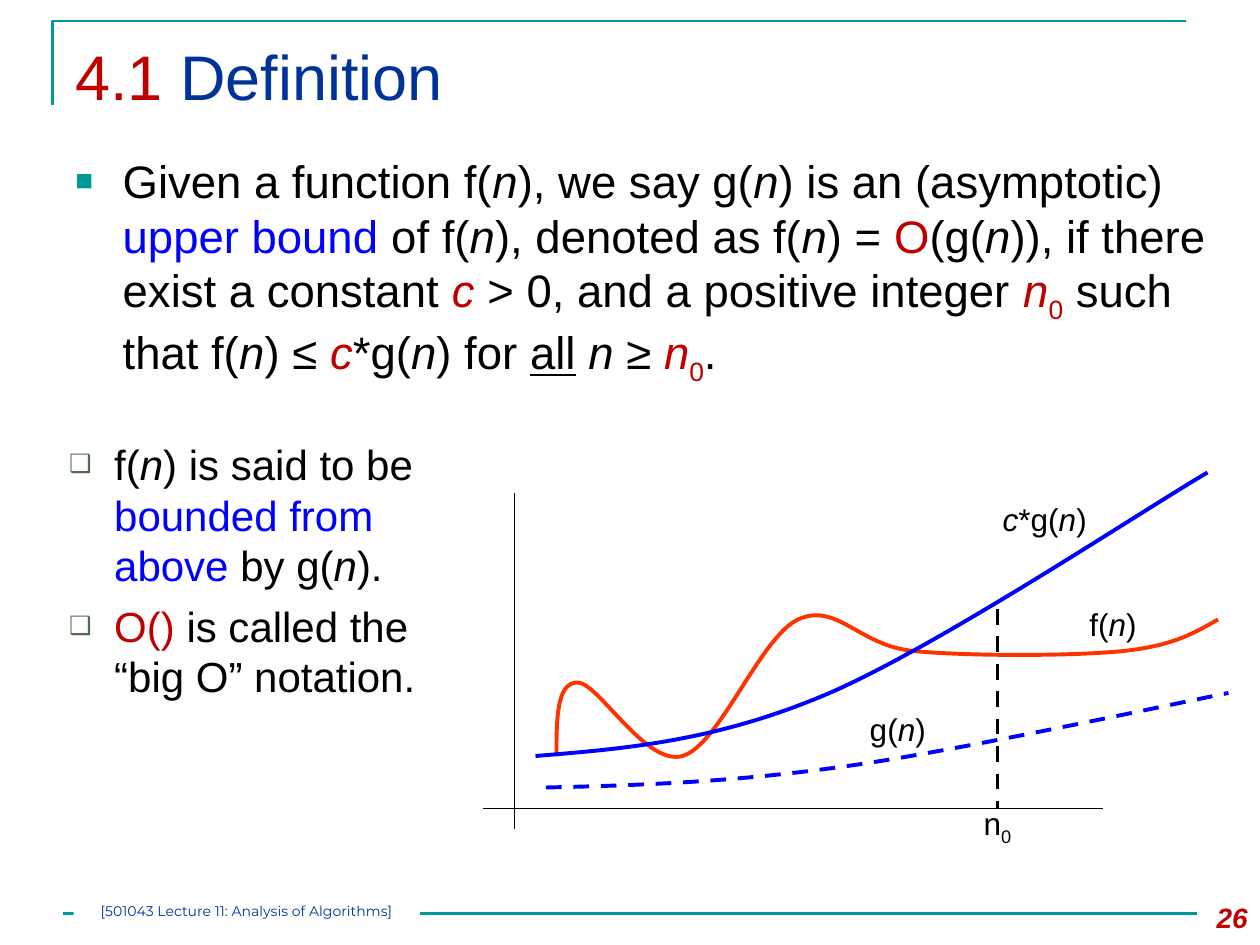
from dataclasses import dataclass

import pptx
import pptx.dml.color
import pptx.enum.dml
import pptx.enum.shapes
import pptx.enum.text
import pptx.oxml.ns
import pptx.util
from lxml import etree

PX = 914400 // 120  # 120 px to the inch


def px(value: int) -> pptx.util.Emu:
    return pptx.util.Emu(value * PX)


@dataclass(frozen=True)
class Theme:
    teal: str = "009999"
    red: str = "C00000"
    navy: str = "003399"
    blue: str = "0000FF"
    orange: str = "FF3300"
    green: str = "4C6D4E"
    black: str = "000000"
    white: str = "FFFFFF"
    font: str = "Arial"
    footer_font: str = "Montserrat"
    title_size: int = 36
    body_size: int = 26
    note_size: int = 24
    label_size: int = 18
    number_size: int = 16
    footer_size: int = 8


THEME = Theme()


@dataclass(frozen=True)
class Span:
    text: str
    color: str = THEME.black
    italic: bool = False
    bold: bool = False
    underline: bool = False
    subscript: bool = False


@dataclass(frozen=True)
class Bullet:
    char: str
    color: str
    percent: int
    margin: int
    hang: int


@dataclass(frozen=True)
class Label:
    left: int
    top: int
    width: int
    spans: list[Span]


@dataclass(frozen=True)
class Stroke:
    color: str
    width: float
    dashed: bool = False


@dataclass(frozen=True)
class Curve:
    points: list[tuple[int, int]]  # start, then three points per Bezier segment
    stroke: Stroke


def rgb(color: str) -> pptx.dml.color.RGBColor:
    return pptx.dml.color.RGBColor.from_string(color)


def apply_stroke(line, stroke: Stroke) -> None:
    line.color.rgb = rgb(stroke.color)
    line.width = pptx.util.Pt(stroke.width)
    if stroke.dashed:
        line.dash_style = pptx.enum.dml.MSO_LINE.DASH


def add_spans(para, spans: list[Span], size: int, font: str = THEME.font) -> None:
    for span in spans:
        run = para.add_run()
        run.text = span.text
        run.font.name, run.font.size = font, pptx.util.Pt(size)
        run.font.color.rgb = rgb(span.color)
        run.font.italic, run.font.bold = span.italic, span.bold
        run.font.underline = span.underline
        if span.subscript:
            run.font._element.set("baseline", "-25000")


def add_bullet(para, bullet: Bullet) -> None:
    props = para._p.get_or_add_pPr()
    props.set("marL", str(px(bullet.margin)))
    props.set("indent", str(px(-bullet.hang)))
    name = pptx.oxml.ns.qn
    color = etree.SubElement(props, name("a:buClr"))
    etree.SubElement(color, name("a:srgbClr"), val=bullet.color)
    etree.SubElement(props, name("a:buSzPct"), val=str(bullet.percent * 1000))
    etree.SubElement(props, name("a:buFont"), typeface=THEME.font)
    etree.SubElement(props, name("a:buChar"), char=bullet.char)


def add_text(page, left: int, top: int, width: int, height: int,
             paragraphs: list[list[Span]], size: int,
             align=pptx.enum.text.PP_ALIGN.LEFT, bullet: Bullet | None = None) -> None:
    box = page.shapes.add_textbox(px(left), px(top), px(width), px(height))
    frame = box.text_frame
    frame.word_wrap = True
    for index, spans in enumerate(paragraphs):
        para = frame.add_paragraph() if index else frame.paragraphs[0]
        para.alignment = align
        if bullet:
            para.space_before = pptx.util.Pt(6)
            add_bullet(para, bullet)
        add_spans(para, spans, size)


def add_line(page, x1: int, y1: int, x2: int, y2: int, stroke: Stroke) -> None:
    line = page.shapes.add_connector(pptx.enum.shapes.MSO_CONNECTOR.STRAIGHT,
                                     px(x1), px(y1), px(x2), px(y2))
    apply_stroke(line.line, stroke)
    etree.SubElement(line._element.spPr, pptx.oxml.ns.qn("a:effectLst"))


def add_outline(page, points: list[tuple[int, int]], stroke: Stroke):
    builder = page.shapes.build_freeform(*points[0], scale=PX)
    builder.add_line_segments(points[1:], close=False)
    shape = builder.convert_to_shape()
    shape.shadow.inherit = False
    shape.fill.background()
    apply_stroke(shape.line, stroke)
    return shape


def add_curve(page, curve: Curve) -> None:
    shape = add_outline(page, curve.points, curve.stroke)
    name = pptx.oxml.ns.qn
    segments = list(shape._element.iter(name("a:lnTo")))
    outline = segments[0].getparent()
    for first in range(0, len(segments), 3):
        bezier = etree.SubElement(outline, name("a:cubicBezTo"))
        for segment in segments[first:first + 3]:
            bezier.append(segment[0])
            outline.remove(segment)


N = Span("n", italic=True)
N_ZERO = [Span("n", THEME.red, italic=True), Span("0", THEME.red, subscript=True)]

DEFINITION = [
    Span("Given a function f("), N, Span("), we say g("), N, Span(") is an (asymptotic) "),
    Span("upper bound ", THEME.blue), Span("of f("), N, Span("), denoted as f("), N,
    Span(") = "), Span("O", THEME.red), Span("(g("), N,
    Span(")), if there exist a constant "), Span("c ", THEME.red, italic=True),
    Span("> 0, and a positive integer "), *N_ZERO, Span(" such that f("), N, Span(") ≤ "),
    Span("c", THEME.red, italic=True), Span("*g("), N, Span(") for "),
    Span("all", underline=True), Span(" "), N, Span(" ≥ "), *N_ZERO, Span("."),
]
NOTES = [
    [Span("f("), N, Span(") is said to be "), Span("bounded from above ", THEME.blue),
     Span("by g("), N, Span(").")],
    [Span("O() ", THEME.red), Span("is called the “big O” notation.")],
]
CURVES = [
    Curve([(530, 720), (530, 685), (530, 650), (550, 650), (570, 650), (615, 730),
           (650, 720), (685, 710), (724, 607), (760, 590), (797, 573), (818, 615),
           (870, 620), (922, 625), (1021, 625), (1070, 620), (1118, 615), (1139, 602),
           (1160, 590)], Stroke(THEME.orange, 2.25)),
    Curve([(510, 720), (596, 713), (683, 706), (790, 660), (896, 614), (1090, 485),
           (1150, 450)], Stroke(THEME.blue, 2.25)),
    Curve([(520, 750), (608, 748), (696, 745), (804, 730), (913, 715), (1109, 672),
           (1170, 660)], Stroke(THEME.blue, 2.25, dashed=True)),
]
LABELS = [
    Label(930, 470, 130, [Span("c", italic=True), Span("*g("), N, Span(")")]),
    Label(1020, 570, 80, [Span("f("), N, Span(")")]),
    Label(910, 760, 80, [Span("n"), Span("0", subscript=True)]),
    Label(810, 670, 90, [Span("g("), N, Span(")")]),
]


def main() -> None:
    deck = pptx.Presentation()
    deck.slide_width, deck.slide_height = px(1200), px(900)
    page = deck.slides.add_slide(deck.slide_layouts[6])
    align = pptx.enum.text.PP_ALIGN

    # Frame and title
    frame_stroke = Stroke(THEME.teal, 1.5)
    add_outline(page, [(50, 100), (50, 20), (1130, 20)], frame_stroke)
    add_line(page, 60, 870, 1140, 870, frame_stroke)
    add_text(page, 60, 30, 1080, 103, [[Span("4.1 ", THEME.red),
             Span("Definition", THEME.navy)]], THEME.title_size)

    # Definition and notes
    add_text(page, 60, 140, 1110, 240, [DEFINITION], THEME.body_size,
             bullet=Bullet("■", THEME.teal, 65, 45, 45))
    add_text(page, 50, 412, 420, 340, NOTES, THEME.note_size,
             bullet=Bullet("❑", THEME.green, 60, 47, 43))

    # Growth diagram: axes, curves, threshold, labels
    add_line(page, 460, 770, 1050, 770, Stroke(THEME.black, 0.75))
    add_line(page, 490, 470, 490, 790, Stroke(THEME.black, 1))
    for curve in CURVES:
        add_curve(page, curve)
    add_line(page, 950, 580, 950, 770, Stroke(THEME.black, 2.25, dashed=True))
    for label in LABELS:
        add_text(page, label.left, label.top, label.width, 48, [label.spans],
                 THEME.label_size, align.CENTER)

    # Footer and page number
    footer = page.shapes.add_shape(pptx.enum.shapes.MSO_SHAPE.RECTANGLE,
                                   px(70), px(860), px(330), px(20))
    footer.shadow.inherit = False
    footer.fill.solid()
    footer.fill.fore_color.rgb = rgb(THEME.white)
    footer.line.fill.background()
    frame = footer.text_frame
    frame.vertical_anchor = pptx.enum.text.MSO_ANCHOR.TOP
    frame.margin_left = frame.margin_top = frame.margin_right = frame.margin_bottom = 0
    frame.paragraphs[0].alignment = align.CENTER
    add_spans(frame.paragraphs[0], [Span("[501043 Lecture 11: Analysis of Algorithms]",
              THEME.navy)], THEME.footer_size, THEME.footer_font)
    add_text(page, 1120, 852, 80, 48, [[Span("26", THEME.red, italic=True, bold=True)]],
             THEME.number_size, align.RIGHT)

    deck.save("out.pptx")


if __name__ == "__main__":
    main()
